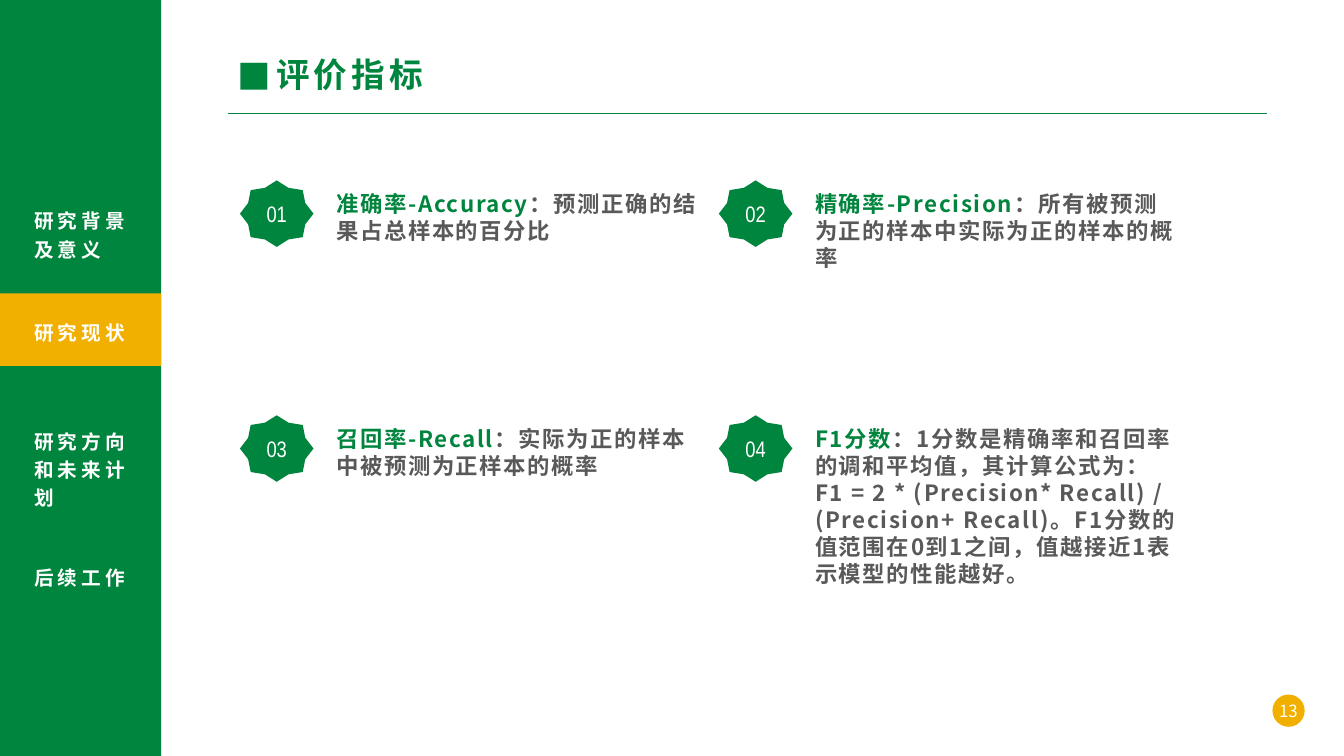
"""Build the slide on evaluation metrics with its section sidebar."""
from lxml import etree
from pptx import Presentation
from pptx.dml.color import RGBColor
from pptx.enum.shapes import MSO_CONNECTOR, MSO_SHAPE as SHAPE
from pptx.enum.text import MSO_ANCHOR as ANCHOR, MSO_AUTO_SIZE as AUTO, PP_ALIGN as ALIGN
from pptx.oxml.ns import qn
from pptx.util import Inches, Pt

GREEN = RGBColor(0x00, 0x85, 0x3E)
AMBER = RGBColor(0xF1, 0xB0, 0x00)
GRAY = RGBColor(0x59, 0x59, 0x59)
WHITE = RGBColor(0xFF, 0xFF, 0xFF)
CJK = "Noto Sans CJK SC"

prs = Presentation()
prs.slide_width, prs.slide_height = Inches(13.33), Inches(7.5)
s = prs.slides.add_slide(prs.slide_layouts[6])


def add_block(kind, box, fill):
    sp = s.shapes.add_shape(kind, *map(Inches, box))
    sp.shadow.inherit = False
    sp.fill.solid()
    sp.fill.fore_color.rgb = fill
    sp.line.fill.background()
    return sp


def write(sp, runs, spc=0, centred=False, **fmt):
    tf = sp.text_frame
    tf.word_wrap = True
    tf.auto_size = AUTO.NONE if centred else AUTO.SHAPE_TO_FIT_TEXT
    tf.vertical_anchor = ANCHOR.MIDDLE if centred else ANCHOR.TOP
    p = tf.paragraphs[0]
    p.alignment = ALIGN.CENTER if centred else ALIGN.LEFT
    for text, color in runs:
        r = p.add_run()
        r.text = text
        for key, value in fmt.items():
            setattr(r.font, key, value)
        r.font.color.rgb = color
        rpr = r.font._element
        rpr.set("spc", str(round(spc * 100)))
        rpr.find(qn("a:latin")).addnext(etree.Element(qn("a:ea"), typeface=CJK))
    return p


rule = s.shapes.add_connector(MSO_CONNECTOR.STRAIGHT, *map(Inches, (2.26, 1.12, 12.57, 1.12)))
rule.line.color.rgb = GREEN
rule.line.width = Pt(0.5)
etree.SubElement(rule._element.spPr, qn("a:effectLst"))

title = s.shapes.add_textbox(*map(Inches, (2.26, 0.49, 8.57, 0.5)))
p = write(title, [("评价指标", GREEN)], spc=3, name=CJK, size=Pt(24), bold=True)
ppr = p._p.get_or_add_pPr()
ppr.set("marL", str(Inches(0.38)))
ppr.set("indent", str(Inches(-0.38)))
etree.SubElement(ppr, qn("a:buFont"), typeface=CJK)
etree.SubElement(ppr, qn("a:buChar"), char="■")

add_block(SHAPE.OVAL, (12.62, 6.89, 0.32, 0.32), AMBER)
page = s.shapes.add_textbox(*map(Inches, (12.48, 6.85, 0.6, 0.4)))
write(page, [("13", WHITE)], centred=True, name=CJK, size=Pt(12))

metrics = [
    ("准确率-Accuracy", "：预测正确的结果占总样本的百分比", 0.64),
    ("精确率-Precision", "：所有被预测为正的样本中实际为正的样本的概率", 0.91),
    ("召回率-Recall", "：实际为正的样本中被预测为正样本的概率", 0.64),
    ("F1分数", "：1分数是精确率和召回率的调和平均值，其计算公式为："
     "F1 = 2 * (Precision* Recall) / (Precision+ Recall)。"
     "F1分数的值范围在0到1之间，值越接近1表示模型的性能越好。", 1.72),
]
for i, (term, meaning, height) in enumerate(metrics):
    row, col = divmod(i, 2)
    x, y = 2.38 + 4.75 * col, 1.79 + 2.33 * row
    badge = add_block(SHAPE.STAR_8_POINT, (x, y, 0.73, 0.66), GREEN)
    badge.adjustments[0] = 0.42
    write(badge, [(f"{i + 1:02d}", WHITE)], centred=True, name="Arial Narrow", size=Pt(16))
    note = s.shapes.add_textbox(*map(Inches, (x + 0.855, y + 0.05, 3.82, height)))
    write(note, [(term, GREEN), (meaning, GRAY)], spc=1.2, name=CJK, size=Pt(16), bold=True)

add_block(SHAPE.RECTANGLE, (0, 0, 1.6, 7.5), GREEN)
add_block(SHAPE.RECTANGLE, (0, 2.91, 1.6, 0.72), AMBER)
sections = [
    ("研究背景及意义", 1.98, 0.65),
    ("研究现状", 3.09, 0.36),
    ("研究方向和未来计划", 4.17, 0.93),
    ("后续工作", 5.52, 0.36),
]
for name, y, height in sections:
    label = s.shapes.add_textbox(*map(Inches, (0.24, y, 1.24, height)))
    p = write(label, [(name, WHITE)], spc=3, name="Arial", size=Pt(14), bold=True)
    p.line_spacing = 1.2

prs.save("out.pptx")
